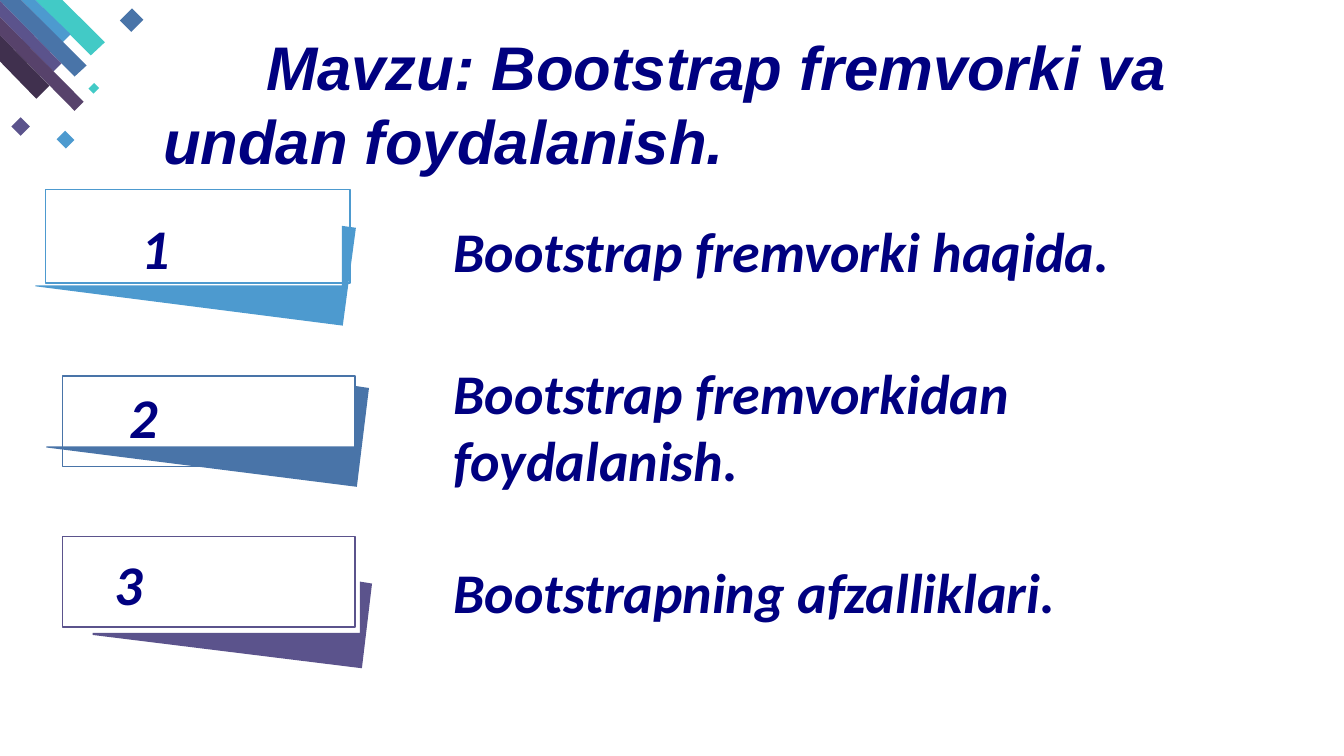
from collections import namedtuple
from pptx import Presentation
from pptx.dml.color import RGBColor
from pptx.enum.shapes import MSO_AUTO_SHAPE_TYPE as Preset
from pptx.enum.text import MSO_AUTO_SIZE as AutoSize
from pptx.util import Inches, Pt

COLUMNS, ROWS = 1333, 750
CELL = Inches(0.01)

Theme = namedtuple("Theme", "teal sky steel violet plum dark ink title_size body_size outline")
THEME = Theme("42CAC6", "4D9ACF", "4974A8", "5B538C", "57426B", "40304E", "000080", 44, 40, 1)

TITLE = ("Mavzu: Bootstrap fremvorki va undan foydalanish.", (152, 24, 1115, 154))
TITLE_INDENT = 102
TOPIC_LEFT = 440

STRIPES = [
    (THEME.teal, [(104, 42), (90, 55), (35, 0), (62, 0)]),
    (THEME.sky, [(70, 34), (62, 42), (21, 0), (35, 0)]),
    (THEME.steel, [(86, 65), (74, 76), (0, 1), (0, 0), (21, 0)]),
    (THEME.violet, [(61, 63), (53, 71), (0, 17), (0, 1)]),
    (THEME.plum, [(83, 101), (74, 110), (0, 35), (0, 17)]),
    (THEME.dark, [(49, 85), (36, 98), (0, 61), (0, 35)]),
]

DIAMONDS = [
    (THEME.violet, (14, 119, 13, 13)),
    (THEME.sky, (59, 132, 12, 13)),
    (THEME.steel, (122, 12, 17, 16)),
    (THEME.teal, (89, 84, 8, 7)),
]

TOPICS = [
    dict(number="1", topic="Bootstrap fremvorki haqida.", color=THEME.sky,
         frame=(45, 188, 302, 93), number_box=(131, 207, 545, 75), topic_box=(210, 817, 75),
         ribbon=[(339, 224), (353, 226), (340, 323), (35, 284), (35, 283), (339, 283)]),
    dict(number="2", topic="Bootstrap fremvorkidan foydalanish.", color=THEME.steel,
         frame=(62, 373, 290, 90), number_box=(119, 375, 437, 75), topic_box=(351, 812, 141),
         ribbon=[(353, 383), (366, 385), (354, 483), (46, 444), (46, 443), (353, 443)]),
    dict(number="3", topic="Bootstrapning afzalliklari.", color=THEME.violet,
         frame=(62, 532, 290, 90), number_box=(104, 540, 437, 75), topic_box=(548, 688, 75),
         ribbon=[(357, 577), (369, 579), (359, 663), (92, 630), (92, 628), (357, 628)]),
]


def place(box):
    return [cells * CELL for cells in box]


def paint(shape, color):
    shape.shadow.inherit = False
    shape.fill.solid()
    shape.fill.fore_color.rgb = RGBColor.from_string(color)
    shape.line.fill.background()


def add_outline(shapes, color, points):
    builder = shapes.build_freeform(*points[0], scale=CELL)
    builder.add_line_segments(points[1:], close=True)
    paint(builder.convert_to_shape(), color)


def add_diamond(shapes, color, box):
    shape = shapes.add_shape(Preset.RECTANGLE, *place(box))
    shape.rotation = 135
    paint(shape, color)


def add_frame(shapes, color, box):
    shape = shapes.add_shape(Preset.RECTANGLE, *place(box))
    shape.shadow.inherit = False
    shape.fill.background()
    shape.line.color.rgb = RGBColor.from_string(color)
    shape.line.width = Pt(THEME.outline)


def add_text(shapes, text, box, font_name, size):
    frame = shapes.add_textbox(*place(box)).text_frame
    for name, value in dict(word_wrap=True, auto_size=AutoSize.SHAPE_TO_FIT_TEXT).items():
        setattr(frame, name, value)
    paragraph = frame.paragraphs[0]
    run = paragraph.add_run()
    run.text = text
    for name, value in dict(name=font_name, size=Pt(size), bold=True, italic=True).items():
        setattr(run.font, name, value)
    run.font.color.rgb = RGBColor.from_string(THEME.ink)
    return paragraph


def main():
    presentation = Presentation()
    presentation.slide_width = COLUMNS * CELL
    presentation.slide_height = ROWS * CELL
    slide = presentation.slides.add_slide(presentation.slide_layouts[6])
    shapes = slide.shapes

    corner = shapes.add_group_shape().shapes
    for color, points in STRIPES:
        add_outline(corner, color, points)
    for color, box in DIAMONDS:
        add_diamond(corner, color, box)

    for item in TOPICS:
        add_outline(shapes, item["color"], item["ribbon"])
        add_frame(shapes, item["color"], item["frame"])

    heading = add_text(shapes, *TITLE, "Arial", THEME.title_size)
    heading._p.get_or_add_pPr().set("indent", str(TITLE_INDENT * CELL))

    for item in TOPICS:
        add_text(shapes, item["number"], item["number_box"], "Calibri", THEME.body_size)
        add_text(shapes, item["topic"], (TOPIC_LEFT, *item["topic_box"]), "Calibri", THEME.body_size)

    presentation.save("out.pptx")


if __name__ == "__main__":
    main()
